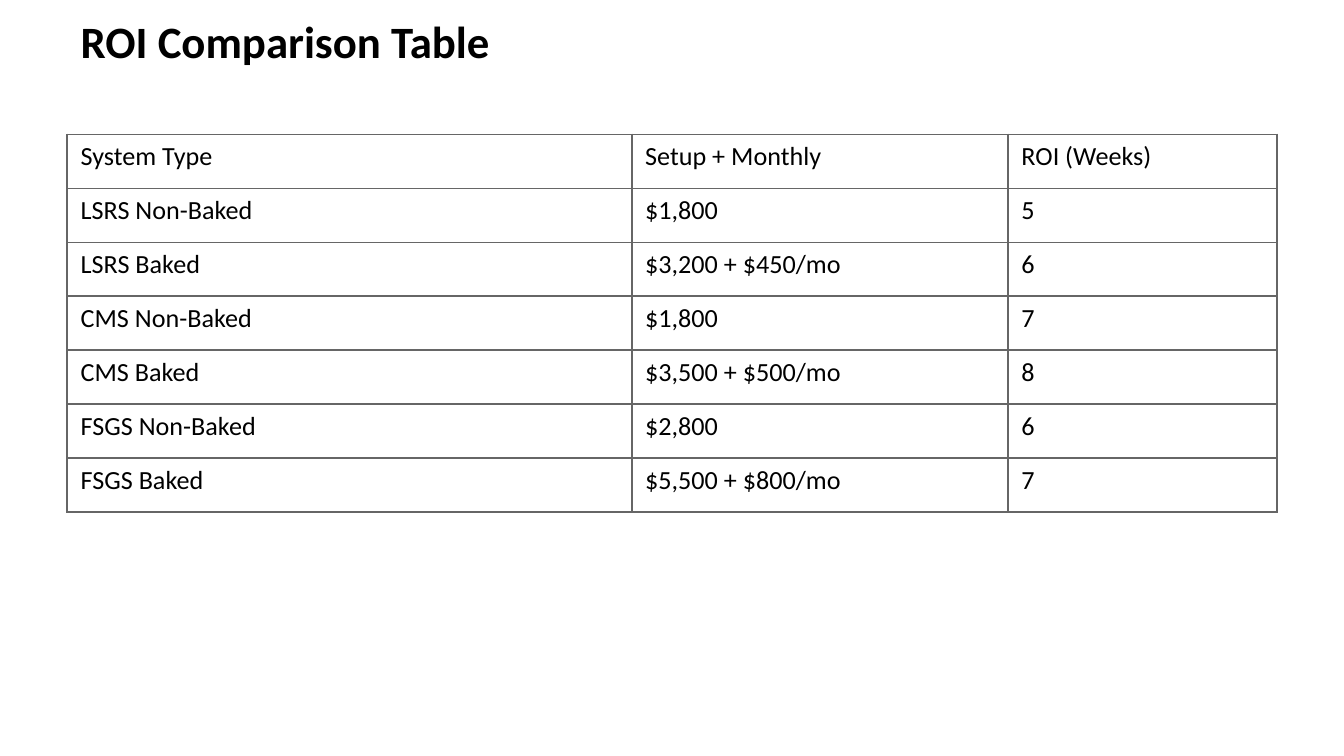
from lxml.etree import SubElement
from pptx import Presentation
from pptx.dml.color import RGBColor
from pptx.enum.text import MSO_ANCHOR, MSO_AUTO_SIZE, PP_ALIGN
from pptx.oxml.ns import qn
from pptx.util import Cm, Pt

BLACK = RGBColor(0x00, 0x00, 0x00)
WHITE = RGBColor(0xFF, 0xFF, 0xFF)
GREY = RGBColor(0x66, 0x66, 0x66)
FONT = "Calibri"

ROI_ROWS = [
    ("System Type", "Setup + Monthly", "ROI (Weeks)"),
    ("LSRS Non-Baked", "$1,800", "5"),
    ("LSRS Baked", "$3,200 + $450/mo", "6"),
    ("CMS Non-Baked", "$1,800", "7"),
    ("CMS Baked", "$3,500 + $500/mo", "8"),
    ("FSGS Non-Baked", "$2,800", "6"),
    ("FSGS Baked", "$5,500 + $800/mo", "7"),
]
COLUMN_WIDTHS = [Cm(10.67), Cm(7.11), Cm(5.08)]
ROW_HEIGHT = Cm(1.02)
LEFT = Cm(1.27)
CONTENT_WIDTH = sum(COLUMN_WIDTHS)


def add_run(paragraph, text, size, bold=False):
    run = paragraph.add_run()
    run.text = text
    run.font.name = FONT
    run.font.size = Pt(size)
    run.font.bold = bold
    run.font.color.rgb = BLACK


def add_borders(cell):
    properties = cell._tc.get_or_add_tcPr()
    for side in ("a:lnL", "a:lnR", "a:lnT", "a:lnB"):
        line = SubElement(properties, qn(side), w=str(Pt(1)))
        fill = SubElement(line, qn("a:solidFill"))
        SubElement(fill, qn("a:srgbClr"), val=str(GREY))


prs = Presentation()
prs.slide_width = Cm(25.4)
prs.slide_height = Cm(14.29)
slide = prs.slides.add_slide(prs.slide_layouts[5])
slide.background.fill.solid()
slide.background.fill.fore_color.rgb = WHITE

# Title
heading = slide.shapes.title
heading.left, heading.top = LEFT, Cm(0.25)
heading.width, heading.height = CONTENT_WIDTH, Cm(1.02)
heading_frame = heading.text_frame
heading_frame.auto_size = MSO_AUTO_SIZE.NONE
heading_frame.word_wrap = True
heading_frame.vertical_anchor = MSO_ANCHOR.MIDDLE
heading_paragraph = heading_frame.paragraphs[0]
heading_paragraph.alignment = PP_ALIGN.LEFT
add_run(heading_paragraph, "ROI Comparison Table", 24, bold=True)

# Comparison table
roi_table = slide.shapes.add_table(
    len(ROI_ROWS), len(COLUMN_WIDTHS), LEFT, Cm(2.54),
    CONTENT_WIDTH, ROW_HEIGHT * len(ROI_ROWS),
).table
roi_table.first_row = False
roi_table.horz_banding = False
for column, width in zip(roi_table.columns, COLUMN_WIDTHS):
    column.width = width

for table_row, values in zip(roi_table.rows, ROI_ROWS):
    table_row.height = ROW_HEIGHT
    for cell, value in zip(table_row.cells, values):
        add_borders(cell)
        cell.fill.solid()
        cell.fill.fore_color.rgb = WHITE
        add_run(cell.text_frame.paragraphs[0], value, 14)

prs.save("out.pptx")
